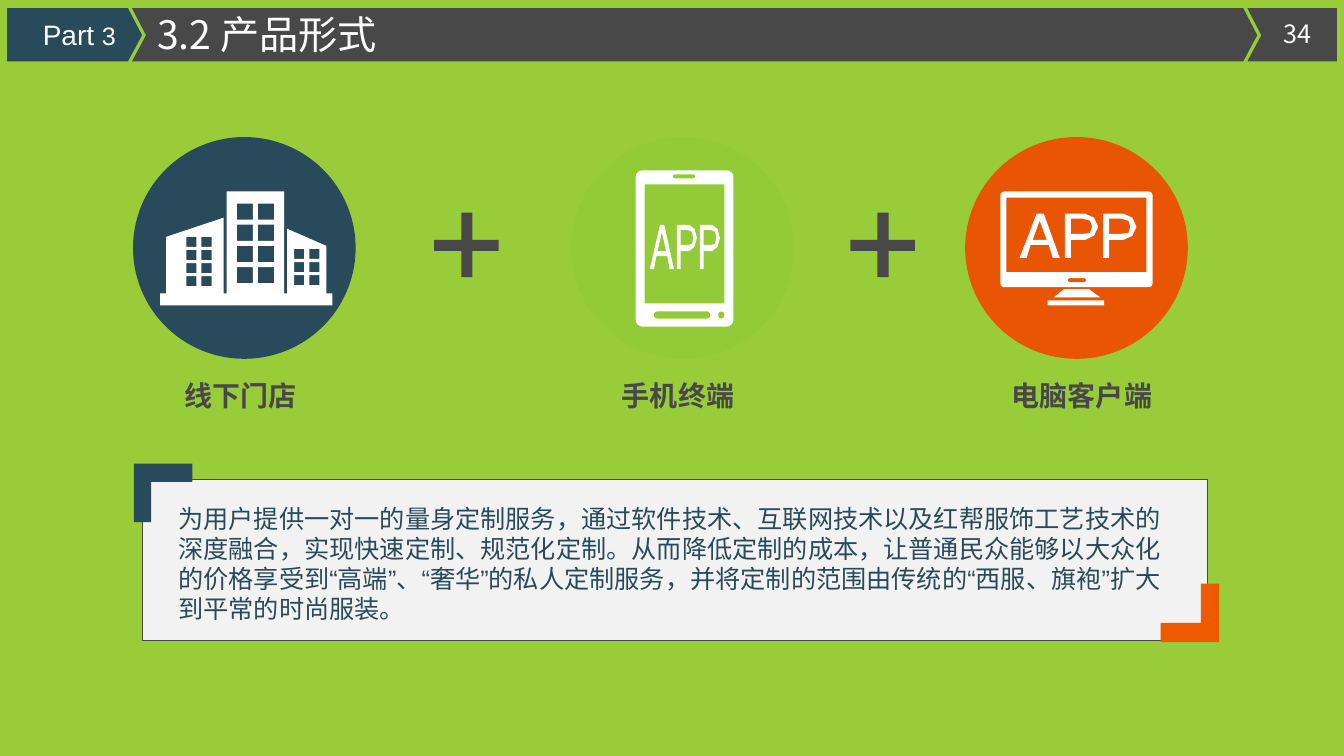
from itertools import product
from math import cos, pi, sin

from lxml.etree import SubElement
from pptx import Presentation
from pptx.dml.color import RGBColor
from pptx.enum.shapes import MSO_SHAPE
from pptx.enum.text import MSO_ANCHOR, MSO_AUTO_SIZE, PP_ALIGN
from pptx.oxml.ns import qn
from pptx.util import Inches, Pt

THEME = {
    "green": "99CC39", "navy": "294A5A", "gray": "484849", "lime": "93CA38",
    "rust": "E85504", "orange": "ED5A00", "pale": "F2F2F2", "white": "FFFFFF",
    "cjk": "Noto Sans CJK SC", "latin": "Arial",
    "title": 28, "label": 20, "body": 18,
}
COLOR = {key: RGBColor.from_string(val) for key, val in THEME.items()
         if key not in ("cjk", "latin", "title", "label", "body")}

deck = Presentation()
deck.slide_width, deck.slide_height = Inches(13.34), Inches(7.5)
slide = deck.slides.add_slide(deck.slide_layouts[1])
shapes = slide.shapes
slide.background.fill.solid()
slide.background.fill.fore_color.rgb = COLOR["green"]


def draw(loops, fill):
    """Fill a set of closed loops; a loop inside another cuts a hole."""
    pen = None
    for loop in loops:
        first, *rest = [(Inches(x), Inches(y)) for x, y in loop]
        if pen is None:
            pen = shapes.build_freeform(*first)
        else:
            pen.move_to(*first)
        pen.add_line_segments(rest, close=True)
    form = pen.convert_to_shape()
    form.shadow.inherit = False
    form.fill.solid()
    form.fill.fore_color.rgb = COLOR[fill]
    form.line.fill.background()


def box(left, top, right, low, r=0):
    """Corner points of a box, with corners of radius r."""
    if not r:
        return [(left, top), (right, top), (right, low), (left, low)]
    hubs = [(right - r, low - r), (left + r, low - r),
            (left + r, top + r), (right - r, top + r)]
    return [(x + r * cos((turn + step / 6) * pi / 2),
             y + r * sin((turn + step / 6) * pi / 2))
            for turn, (x, y) in enumerate(hubs) for step in range(7)]


# Header bars
top, mid, low = 0.08, 0.35, 0.61
draw([[(0.07, top), (1.27, top), (1.41, mid), (1.27, low), (0.07, low)]], "navy")
draw([[(1.31, top), (12.34, top), (12.48, mid), (12.34, low), (1.31, low),
       (1.45, mid)]], "gray")
draw([[(12.38, top), (13.27, top), (13.27, low), (12.38, low), (12.52, mid)]], "gray")

# Discs
for left, fill in ((1.32, "navy"), (5.67, "lime"), (9.58, "rust")):
    disc = shapes.add_shape(MSO_SHAPE.OVAL, Inches(left), Inches(1.36),
                            Inches(2.21), Inches(2.2))
    disc.shadow.inherit = False
    disc.fill.solid()
    disc.fill.fore_color.rgb = COLOR[fill]
    disc.line.fill.background()

# Store icon: outline, then window grids
store = [[(3.24, 2.91), (3.24, 2.44), (2.85, 2.27), (2.85, 2.91), (2.82, 2.91),
          (2.82, 1.9), (2.25, 1.9), (2.25, 2.91), (2.22, 2.91), (2.22, 2.16),
          (1.65, 2.35), (1.65, 2.91), (1.59, 2.91), (1.59, 3.03), (3.3, 3.03),
          (3.3, 2.91)]]
grids = [(1.85, 2.35, 0.15, 0.13, 0.1, 4), (2.35, 2.02, 0.21, 0.21, 0.16, 4),
         (2.92, 2.47, 0.15, 0.13, 0.1, 3)]
for left, top, across, down, size, rows in grids:
    for col, row in product(range(2), range(rows)):
        x, y = left + col * across, top + row * down
        store.append(box(x, y, x + size, y + size))
draw(store, "white")

# Letter outlines for the two screens
cap_a = [[(0.11, 0.31), (0.29, 0.31), (0.33, 0.44), (0.4, 0.44), (0.24, 0),
          (0.17, 0), (0, 0.44), (0.07, 0.44)],
         [(0.27, 0.26), (0.13, 0.26), (0.2, 0.07)]]
cap_p = [[(0.06, 0.44), (0.06, 0.26), (0.2, 0.26), (0.29, 0.22), (0.33, 0.13),
          (0.29, 0.04), (0.2, 0), (0, 0), (0, 0.44)],
         [(0.06, 0.2), (0.06, 0.05), (0.18, 0.05), (0.25, 0.07), (0.27, 0.13),
          (0.25, 0.19), (0.18, 0.2)]]
word = [[(x + shift, y) for x, y in loop]
        for glyph, shift in ((cap_a, 0), (cap_p, 0.45), (cap_p, 0.83))
        for loop in glyph]

# Phone and monitor icons
phone = [box(6.31, 1.69, 7.28, 3.24, 0.07), box(6.68, 1.73, 6.9, 1.77, 0.02),
         box(6.49, 3.09, 7.05, 3.16, 0.03), box(7.13, 3.09, 7.19, 3.16, 0.03),
         box(6.4, 1.83, 7.19, 3.01)]
screen = [box(9.93, 1.9, 11.44, 2.85, 0.04), box(10.6, 2.76, 10.78, 2.8, 0.02),
          box(9.99, 1.96, 11.38, 2.7), box(10.4, 2.98, 10.96, 3.03),
          [(10.92, 2.95), (10.46, 2.95), (10.56, 2.87), (10.81, 2.87)]]
for icon, left, top, ratio in ((phone, 6.45, 2.23, 0.6), (screen, 10.12, 2.12, 1)):
    draw(icon + [[(left + x * ratio, top + y) for x, y in loop] for loop in word],
         "white")

# Plus signs
for left in (4.31, 8.44):
    a, b, c = left + 0.27, left + 0.38, left + 0.64
    draw([[(a, 2.75), (a, 2.49), (left, 2.49), (left, 2.38), (a, 2.38), (a, 2.11),
           (b, 2.11), (b, 2.38), (c, 2.38), (c, 2.49), (b, 2.49), (b, 2.75)]], "gray")

# Panel with two corner marks
panel = shapes.add_shape(MSO_SHAPE.RECTANGLE, Inches(1.41), Inches(4.76),
                         Inches(10.58), Inches(1.59))
panel.shadow.inherit = False
panel.fill.solid()
panel.fill.fore_color.rgb = COLOR["pale"]
panel.line.color.rgb = COLOR["gray"]
panel.line.width = Pt(0.75)
draw([[(1.33, 4.6), (1.91, 4.6), (1.91, 4.78), (1.5, 4.78), (1.5, 5.18),
       (1.33, 5.18)]], "navy")
draw([[(12.1, 6.37), (11.52, 6.37), (11.52, 6.18), (11.92, 6.18), (11.92, 5.79),
       (12.1, 5.79)]], "orange")

# Texts: holder, place, runs, alignment, face, colour, bold
story = ("为用户提供一对一的量身定制服务，通过软件技术、互联网技术以及红帮服饰工艺技术的"
         "深度融合，实现快速定制、规范化定制。从而降低定制的成本，让普通民众能够以大众化"
         "的价格享受到“高端”、“奢华”的私人定制服务，并将定制的范围由传统的“西服、旗"
         "袍”扩大到平常的时尚服装。")
title, body = slide.placeholders
mid = PP_ALIGN.CENTER
texts = [
    (title, (1.46, 0.05, 5.51, 0.57), [("3.2 产品形式", "title")],
     PP_ALIGN.LEFT, "cjk", "white", False),
    (body, (1.67, 4.94, 10.11, 1.62), [(story, "body")],
     PP_ALIGN.LEFT, "latin", "navy", False),
    (None, (0.15, 0.12, 1.1, 0.44), [("Part ", "label"), ("3", "body")],
     PP_ALIGN.RIGHT, "latin", "white", False),
    (None, (12.61, 0.13, 0.54, 0.4), [("34", "body")], mid, "cjk", "white", False),
]
for left, name in ((1.48, "线下门店"), (5.82, "手机终端"), (9.83, "电脑客户端")):
    texts.append((None, (left, 3.71, 1.82, 0.44), [(name, "label")],
                  mid, "cjk", "gray", True))

for holder, place, runs, align, face, color, bold in texts:
    spot = [Inches(n) for n in place]
    if holder is None:
        holder = shapes.add_textbox(*spot)
    else:
        shapes.element.append(holder.element)  # bring to front
        for key, val in zip(("left", "top", "width", "height"), spot):
            setattr(holder, key, val)
    frame = holder.text_frame
    for key, val in {"word_wrap": True, "auto_size": MSO_AUTO_SIZE.NONE,
                     "vertical_anchor": MSO_ANCHOR.TOP}.items():
        setattr(frame, key, val)
    para = frame.paragraphs[0]
    if holder is body:
        props = para._p.get_or_add_pPr()
        props.set("marL", "0")
        props.set("indent", "0")
        SubElement(props, qn("a:buNone"))
    para.alignment, para.space_before = align, Pt(0)
    for text, size in runs:
        run = para.add_run()
        run.text = text
        for key, val in {"name": THEME[face], "size": Pt(THEME[size]),
                         "bold": bold}.items():
            setattr(run.font, key, val)
        run.font.color.rgb = COLOR[color]
        SubElement(run.font._element, qn("a:ea"), typeface=THEME[face])

deck.save("out.pptx")
